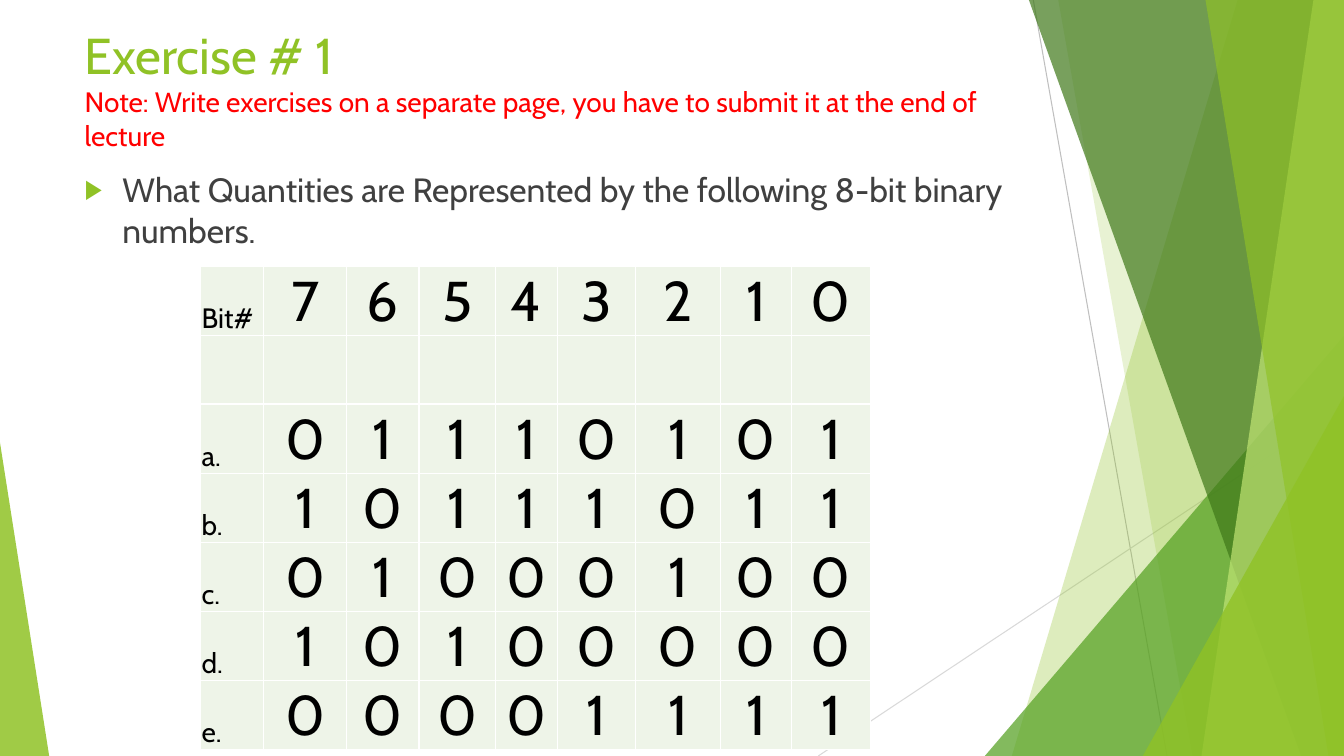
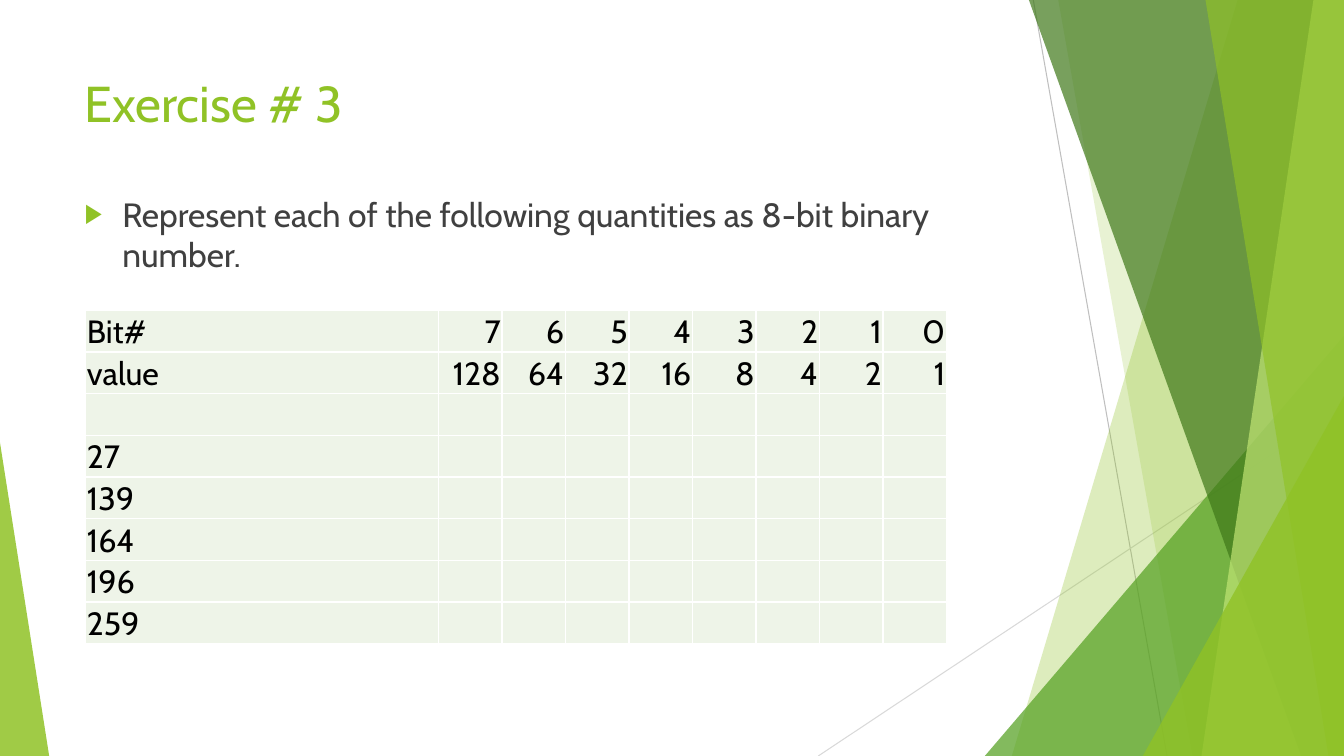
from copy import deepcopy
from dataclasses import dataclass

from lxml.etree import SubElement
from pptx import Presentation
from pptx.dml.color import RGBColor
from pptx.enum.shapes import MSO_CONNECTOR, MSO_SHAPE
from pptx.enum.text import MSO_ANCHOR, MSO_AUTO_SIZE, PP_ALIGN
from pptx.oxml.ns import qn
from pptx.util import Cm, Pt

W, H = 33.87, 19.05
FONT = "Cabin"
GREEN, GRAY, RED, BLACK, WHITE = "90C226", "404040", "FF0000", "000000", "FFFFFF"
CELL_FILL = "EEF4E8"
MARGIN = 1.88


@dataclass(frozen=True)
class Line:
    """A thin line of the backdrop, in cm."""
    x1: float
    y1: float
    x2: float
    y2: float
    color: str


@dataclass(frozen=True)
class Band:
    """A full-height band whose slanted left edge meets the right slide edge."""
    top_x: float
    bottom_x: float
    color: str
    alpha: int


@dataclass(frozen=True)
class Corner:
    """A right triangle standing on the bottom edge; apex is 0 left or 1 right."""
    x: float
    y: float
    w: float
    apex: int
    color: str
    alpha: int


@dataclass(frozen=True)
class Grid:
    """A table: place, column widths, row height, text sizes and rows."""
    x: float
    y: float
    cols: list[float]
    row_h: float
    label_size: int
    size: int
    align: PP_ALIGN
    rows: list[str]


@dataclass(frozen=True)
class Exercise:
    """The content of one exercise slide."""
    title: str
    note: str
    title_y: float
    task: str
    task_y: float
    task_w: float
    task_h: float
    grid: Grid


BACKDROP = [
    Line(26.04, 0, 29.41, H, "BFBFBF"),
    Line(W, 10.24, 20.62, H, "D9D9D9"),
    Band(31.19, 25.5, GREEN, 30),
    Band(26.67, 30.05, GREEN, 20),
    Corner(24.82, 8.46, W - 24.82, 1, "54A021", 72),
    Band(25.93, 32.79, "3F7819", 70),
    Band(33.1, 30.28, "C0E474", 70),
    Band(30.38, 33.48, GREEN, 65),
    Corner(28.8, 9.98, W - 28.8, 1, GREEN, 80),
    Corner(0, 11.15, 1.24, 0, GREEN, 85),
]

EXERCISES = [
    Exercise(
        "Exercise # 1",
        "Note: Write exercises on a separate page, you have to submit it "
        "at the end of lecture",
        0.48,
        "What Quantities are Represented by the following 8-bit binary numbers.",
        4.14, 25.25, 13.67,
        Grid(5.05, 6.71, [1.6, 2.08, 1.83, 1.93, 1.55, 1.98, 2.13, 1.8, 1.98],
             1.73, 20, 40, PP_ALIGN.CENTER,
             ["Bit# 7 6 5 4 3 2 1 0",
              "",
              "a. 0 1 1 1 0 1 0 1",
              "b. 1 0 1 1 1 0 1 1",
              "c. 0 1 0 0 0 1 0 0",
              "d. 1 0 1 0 0 0 0 0",
              "e. 0 0 0 0 1 1 1 1"])),
    Exercise(
        "Exercise # 3", "", 1.7,
        "Represent each of the following quantities as 8-bit binary number.",
        4.75, 23.88, 10.77,
        Grid(2.16, 7.82, [8.89] + [1.6] * 8, 1.05, 23, 23, PP_ALIGN.RIGHT,
             ["Bit# 7 6 5 4 3 2 1 0",
              "value 128 64 32 16 8 4 2 1",
              "", "27", "139", "164", "196", "259"])),
]


def rgb(color: str) -> RGBColor:
    """Turn a hex string into a colour."""
    return RGBColor.from_string(color)


def add_run(p, text: str, *, size: float, color: str = BLACK, font: str = FONT):
    """Append a formatted run to a paragraph."""
    r = p.add_run()
    r.text = text
    r.font.size, r.font.name = Pt(size), font
    r.font.color.rgb = rgb(color)
    return r


def paint(sp, color: str, alpha: int) -> None:
    """Fill a shape with a see-through colour, without line or shadow."""
    sp.shadow.inherit = False
    sp.fill.solid()
    sp.fill.fore_color.rgb = rgb(color)
    clr = sp.element.find(".//" + qn("a:srgbClr"))
    SubElement(clr, qn("a:alpha"), val=str(alpha * 1000))
    sp.line.fill.background()


def draw_line(shapes, line: Line) -> None:
    """Draw one backdrop line."""
    cxn = shapes.add_connector(MSO_CONNECTOR.STRAIGHT, Cm(line.x1), Cm(line.y1),
                               Cm(line.x2), Cm(line.y2))
    cxn.line.color.rgb = rgb(line.color)
    cxn.line.width = Pt(0.75)
    SubElement(cxn.element.find(qn("p:spPr")), qn("a:effectLst"))


def draw_band(shapes, band: Band) -> None:
    """Draw one slanted band."""
    fb = shapes.build_freeform(Cm(band.top_x), 0)
    fb.add_line_segments([(Cm(W), 0), (Cm(W), Cm(H)), (Cm(band.bottom_x), Cm(H))])
    paint(fb.convert_to_shape(), band.color, band.alpha)


def draw_corner(shapes, corner: Corner) -> None:
    """Draw one corner triangle."""
    sp = shapes.add_shape(MSO_SHAPE.ISOSCELES_TRIANGLE, Cm(corner.x), Cm(corner.y),
                          Cm(corner.w), Cm(H - corner.y))
    sp.adjustments[0] = corner.apex
    paint(sp, corner.color, corner.alpha)


def add_backdrop(prs, s) -> None:
    """Build the backdrop as a group and hang it on the slide master."""
    draw = {Line: draw_line, Band: draw_band, Corner: draw_corner}
    grp = s.shapes.add_group_shape()
    for part in BACKDROP:
        draw[type(part)](grp.shapes, part)
    for i, props in enumerate(grp.element.iter(qn("p:cNvPr")), 100):
        props.set("id", str(i))
    prs.slide_master.shapes.element.insert(2, grp.element)


def place(sp, x: float, y: float, w: float, h: float):
    """Move a placeholder and return its top-anchored first paragraph."""
    sp.left, sp.top, sp.width, sp.height = Cm(x), Cm(y), Cm(w), Cm(h)
    tf = sp.text_frame
    tf.word_wrap = True
    tf.auto_size = MSO_AUTO_SIZE.NONE
    tf.vertical_anchor = MSO_ANCHOR.TOP
    p = tf.paragraphs[0]
    p.alignment = PP_ALIGN.LEFT
    return p


def add_bullet(p) -> None:
    """Give a paragraph the green arrow bullet and its hanging indent."""
    p.space_before = Pt(10)
    pPr = p._p.get_or_add_pPr()
    pPr.set("marL", str(Cm(0.95)))
    pPr.set("indent", str(-Cm(0.95)))
    SubElement(SubElement(pPr, qn("a:buClr")), qn("a:srgbClr"), val=GREEN)
    SubElement(pPr, qn("a:buSzPct"), val="80000")
    SubElement(pPr, qn("a:buFont"), typeface="Arial")
    SubElement(pPr, qn("a:buChar"), char="▶")


def style_cell(cell) -> None:
    """Set the fill, white borders, margins and anchor of a cell."""
    cell.margin_left = cell.margin_right = cell.margin_top = Cm(0.03)
    cell.margin_bottom = 0
    cell.vertical_anchor = MSO_ANCHOR.BOTTOM
    tcPr = cell._tc.get_or_add_tcPr()
    for side in ("a:lnL", "a:lnR", "a:lnT", "a:lnB"):
        ln = SubElement(tcPr, qn(side), w=str(Pt(1)))
        SubElement(SubElement(ln, qn("a:solidFill")), qn("a:srgbClr"), val=WHITE)
    cell.fill.solid()
    cell.fill.fore_color.rgb = rgb(CELL_FILL)


def add_grid(s, grid: Grid) -> None:
    """Add the bit table."""
    n_rows, n_cols = len(grid.rows), len(grid.cols)
    tbl = s.shapes.add_table(n_rows, n_cols, Cm(grid.x), Cm(grid.y),
                             Cm(sum(grid.cols)), Cm(grid.row_h * n_rows)).table
    tbl.first_row = tbl.horz_banding = False
    for col, w in zip(tbl.columns, grid.cols):
        col.width = Cm(w)
    for row, line in zip(tbl.rows, grid.rows):
        row.height = Cm(grid.row_h)
        for cell in row.cells:
            style_cell(cell)
        for c, (cell, text) in enumerate(zip(row.cells, line.split())):
            p = cell.text_frame.paragraphs[0]
            p.alignment = grid.align if c else PP_ALIGN.LEFT
            add_run(p, text, size=grid.size if c else grid.label_size)


def fill_slide(s, ex: Exercise) -> None:
    """Write the title, task and table of one exercise."""
    p = place(s.shapes.title, MARGIN, ex.title_y, 23.88, 3.66)
    r = add_run(p, ex.title, size=36, color=GREEN)
    if ex.note:
        p.add_line_break()
        p._p[-1].append(deepcopy(r._r.find(qn("a:rPr"))))
        add_run(p, ex.note, size=20, color=RED)
    p = place(s.placeholders[1], MARGIN, ex.task_y, ex.task_w, ex.task_h)
    add_bullet(p)
    add_run(p, ex.task, size=24, color=GRAY)
    add_grid(s, ex.grid)


def main() -> None:
    """Build and save the presentation."""
    prs = Presentation()
    prs.slide_width, prs.slide_height = Cm(W), Cm(H)
    slides = [prs.slides.add_slide(prs.slide_layouts[1]) for _ in EXERCISES]
    add_backdrop(prs, slides[0])
    for s, ex in zip(slides, EXERCISES):
        fill_slide(s, ex)
    prs.save("out.pptx")


if __name__ == "__main__":
    main()
